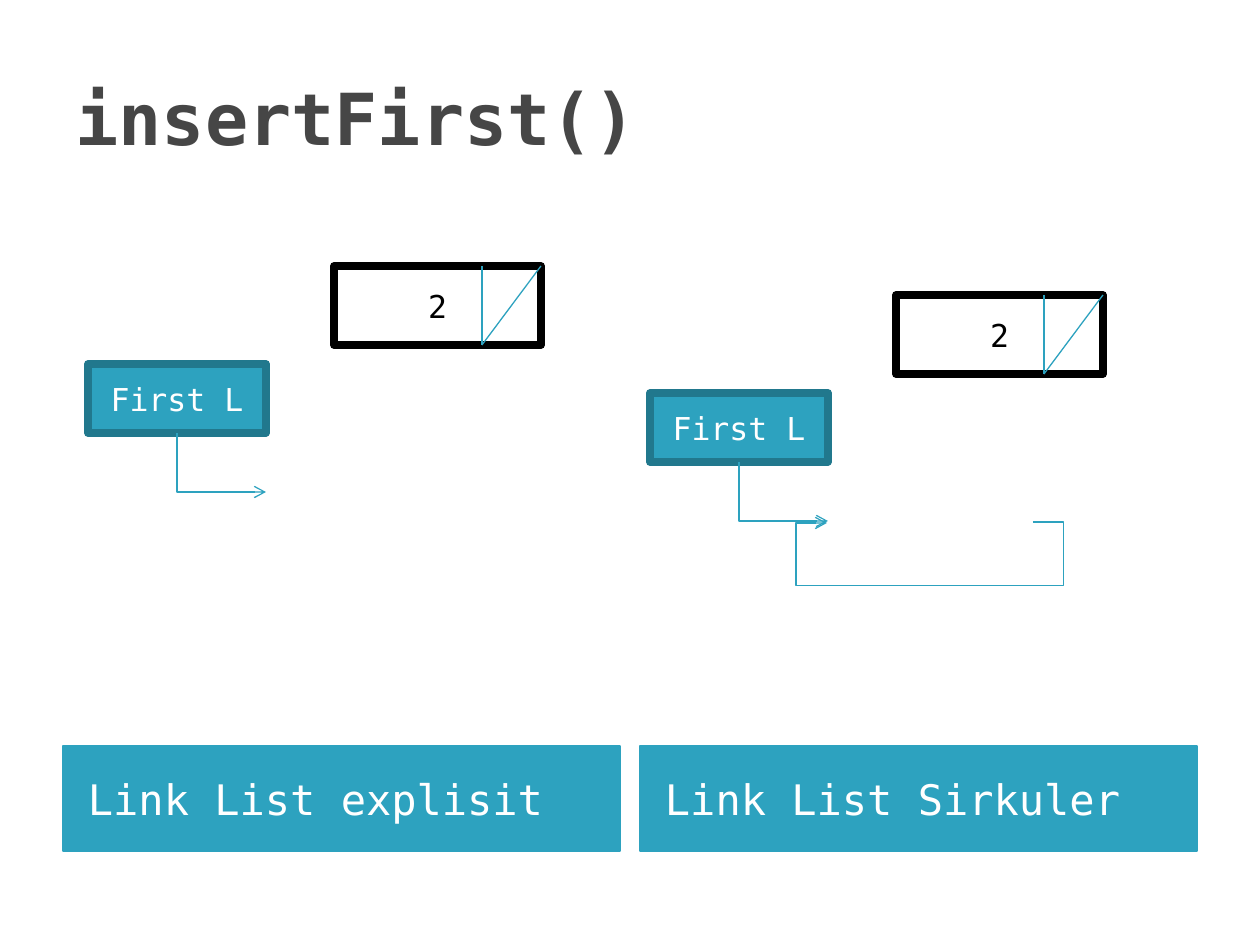
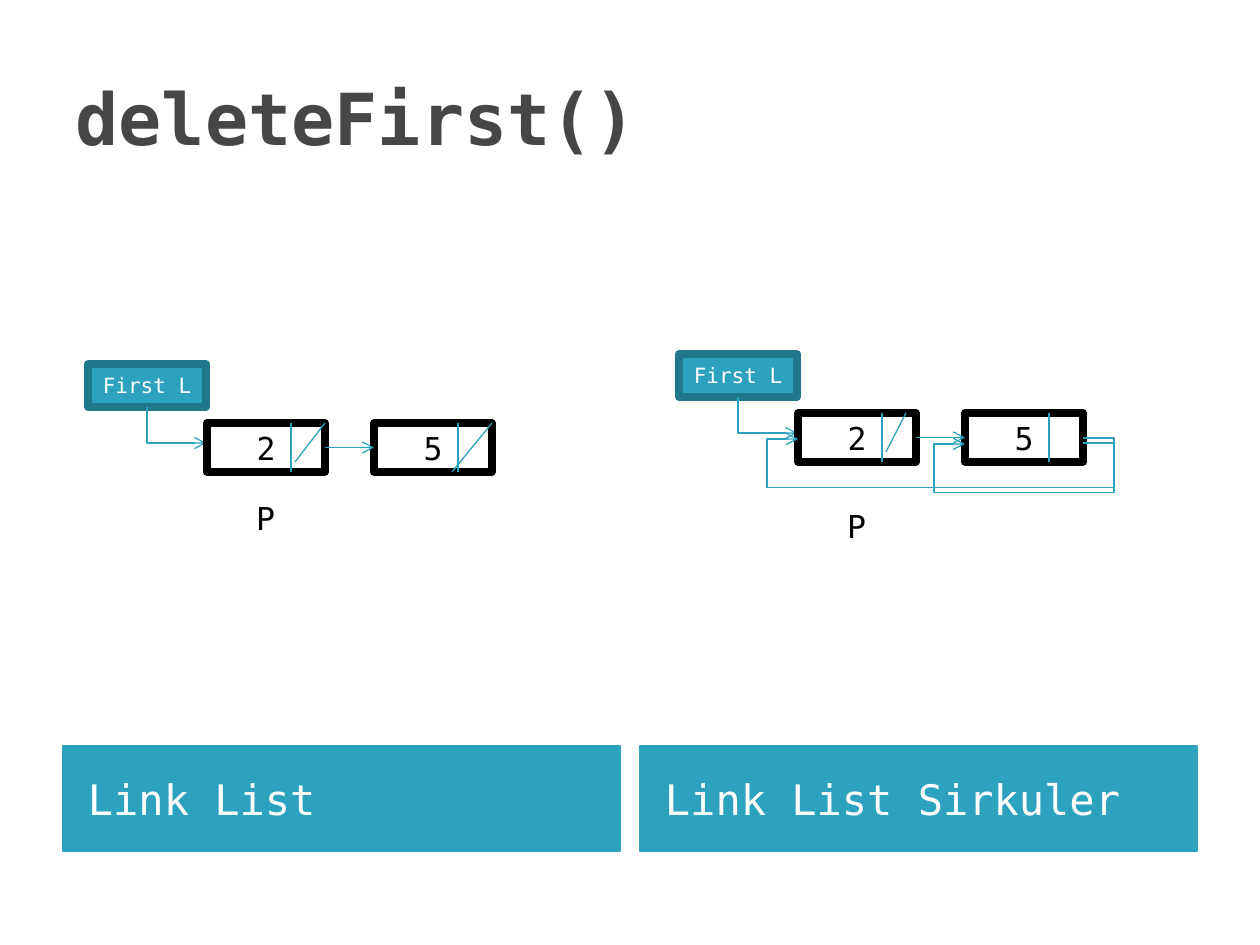
import pptx
import pptx.util
import pptx.dml.color
import pptx.enum.shapes
import pptx.enum.text
import pptx.oxml.ns
import lxml.etree

FONT = "DejaVu Sans Mono"
TEAL, DARK_TEAL, GREY = "2DA2BF", "21788D", "464646"
WHITE, BLACK = "FFFFFF", "000000"
THICK, THIN = 4.33, 0.75
LOOP_OUT = 31
ALIGN = pptx.enum.text.PP_ALIGN
MIDDLE = pptx.enum.text.MSO_ANCHOR.MIDDLE
CONNECTOR = pptx.enum.shapes.MSO_CONNECTOR


def px(length):
    """Turn a length in px into EMU."""
    return pptx.util.Emu(round(length * 914400 / 126))


def color(value):
    """Turn a hex string into a colour."""
    return pptx.dml.color.RGBColor.from_string(value)


def add_child(parent, tag, **attributes):
    """Append a DrawingML element to a parent."""
    child = lxml.etree.SubElement(parent, pptx.oxml.ns.qn(tag))
    for name, value in attributes.items():
        child.set(name, value)
    return child


def write(shape, text, size, ink, align, bold=False):
    """Write one vertically centred line into a shape."""
    shape.text_frame.vertical_anchor = MIDDLE
    para = shape.text_frame.paragraphs[0]
    para.alignment = align
    span = para.add_run()
    span.text = text
    span.font.name = FONT
    span.font.size = pptx.util.Pt(size)
    span.font.bold = bold
    span.font.color.rgb = color(ink)


def add_box(page, bounds, text, size, fill, edge, ink, weight=THICK, align=ALIGN.CENTER):
    """Add a filled rectangle holding one line of text."""
    box = page.shapes.add_shape(
        pptx.enum.shapes.MSO_SHAPE.RECTANGLE, *[px(length) for length in bounds])
    box.shadow.inherit = False
    box.fill.solid()
    box.fill.fore_color.rgb = color(fill)
    box.line.color.rgb = color(edge)
    box.line.width = pptx.util.Pt(weight)
    write(box, text, size, ink, align)
    return box


def add_line(page, start, end, kind=CONNECTOR.STRAIGHT, arrow=False):
    """Add a thin teal connector, with an arrowhead if asked."""
    line = page.shapes.add_connector(kind, *[px(length) for length in (*start, *end)])
    line.line.color.rgb = color(TEAL)
    line.line.width = pptx.util.Pt(THIN)
    if arrow:
        add_child(line.line._get_or_add_ln(), "a:tailEnd", type="arrow")
    add_child(line._element.spPr, "a:effectLst")
    return line


def add_drop(page, start, across, down):
    """Add an arrow that runs down and then right."""
    middle_x, middle_y = start[0] + across / 2, start[1] + down / 2
    line = add_line(page, (middle_x + down / 2, middle_y - across / 2),
                    (middle_x - down / 2, middle_y + across / 2), CONNECTOR.ELBOW, True)
    line._element.spPr.prstGeom.set("prst", "bentConnector2")
    line.rotation = 270


def add_loop(page, right, left, top, depth):
    """Add an arrow that leaves to the right and returns below to the left."""
    line = add_line(page, (right, top), (left, top + 1), CONNECTOR.ELBOW, True)
    geometry = line._element.spPr.prstGeom
    geometry.set("prst", "bentConnector5")
    guides = geometry.find(pptx.oxml.ns.qn("a:avLst"))
    if guides is None:
        guides = add_child(geometry, "a:avLst")
    overshoot = LOOP_OUT / (right - left)
    for number, ratio in enumerate((-overshoot, depth, 1 + overshoot), 1):
        add_child(guides, "a:gd", name=f"adj{number}", fmla=f"val {round(ratio * 100000)}")


def add_pointer(page, bounds, size, down):
    """Add the First L box and the arrow dropping from it."""
    left, top, width, height = bounds
    add_box(page, bounds, "First L", size, TEAL, DARK_TEAL, WHITE)
    add_drop(page, (left + width / 2, top + height), width / 2, down)


def add_node(page, bounds, value, divider, slash=None):
    """Add a list node with its divider and an optional slash."""
    left, top, width, height = bounds
    box = add_box(page, bounds, value, 18, WHITE, BLACK, BLACK)
    add_line(page, (left + divider, top), (left + divider, top + height))
    if slash:
        start_x, end_x, end_y = slash
        add_line(page, (left + start_x, top), (left + end_x, top + end_y))
    return box


def add_insert_panel(page, left, top, circular):
    """Draw the insertion of a first node."""
    add_pointer(page, (left, top + 98, 178, 69), 18, 59)
    add_node(page, (left + 246, top, 207, 79), "2", 148, (207, 148, 79))
    if circular:
        add_loop(page, left + 383, left + 177, top + 227, 64)


def add_delete_panel(page, left, top, circular):
    """Draw the removal of the first of two nodes."""
    add_pointer(page, (left, top, 118, 43), 12, 36)
    first = add_node(page, (left + 119, top + 59, 118, 49), "2", 84,
                     (108 if circular else 118, 88, 39))
    second = add_node(page, (left + 286, top + 59, 118, 49), "5", 84,
                      None if circular else (118, 78, 49))
    link = add_line(page, (left + 237, top + 84), (left + 286, top + 84), arrow=True)
    link.begin_connect(first, 3)
    link.end_connect(second, 1)
    if circular:
        add_loop(page, left + 404, left + 119, top + 84, 50)
        add_loop(page, left + 404, left + 286, top + 89, 50)
    label_top = top + (147 if circular else 129)
    add_box(page, (left + 138, label_top, 79, 49), "P", 18, WHITE, WHITE, BLACK)


def add_page(deck, title, captions, draw_panel, origins):
    """Add a titled page with two captioned panels."""
    page = deck.slides.add_slide(deck.slide_layouts[5])
    heading = page.shapes.title
    heading.left, heading.top, heading.width, heading.height = map(px, (63, 38, 1134, 157))
    write(heading, title, 41, GREY, ALIGN.LEFT, bold=True)
    for index, caption in enumerate(captions):
        band = add_box(page, (63 + 577 * index, 746, 557, 105), caption, 24,
                       TEAL, TEAL, WHITE, THIN, ALIGN.LEFT)
        band.text_frame.margin_left = px(25)
        draw_panel(page, *origins[index], circular=index == 1)


def main():
    """Build and save the deck."""
    deck = pptx.Presentation()
    deck.slide_width, deck.slide_height = px(1260), px(945)
    add_page(deck, "insertFirst()", ("Link List explisit", "Link List Sirkuler"),
             add_insert_panel, ((88, 266), (650, 295)))
    add_page(deck, "deleteFirst()", ("Link List", "Link List Sirkuler"),
             add_delete_panel, ((88, 364), (679, 354)))
    deck.save("out.pptx")


if __name__ == "__main__":
    main()
